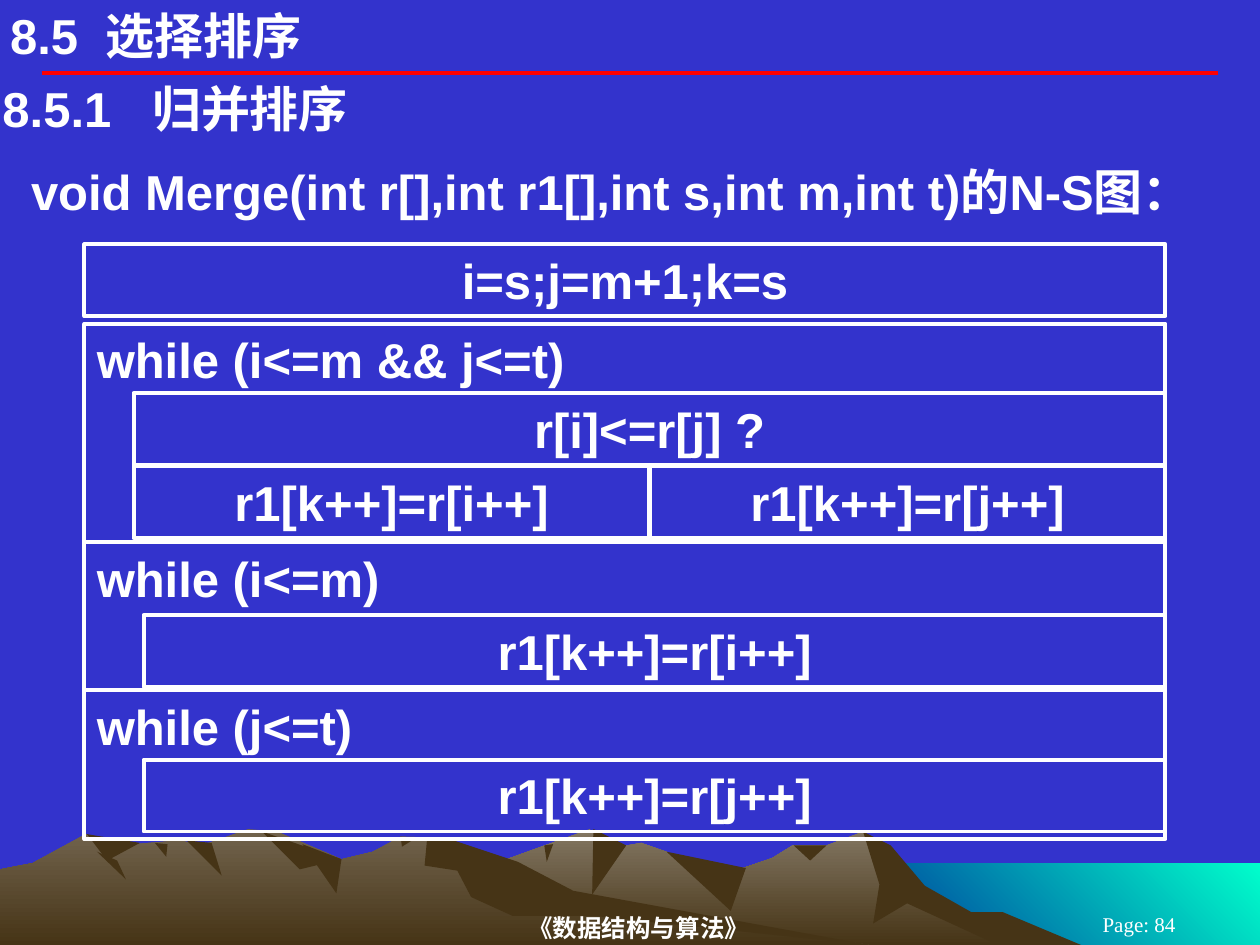
from dataclasses import dataclass

from lxml.etree import SubElement
from pptx import Presentation
from pptx.dml.color import RGBColor
from pptx.enum.shapes import MSO_CONNECTOR, MSO_SHAPE
from pptx.enum.text import MSO_ANCHOR as Anchor, MSO_AUTO_SIZE, PP_ALIGN as Align
from pptx.oxml.ns import qn
from pptx.util import Inches, Pt

WIDTH, HEIGHT = 10, 7.5
WHITE, RED, BLUE = "FFFFFF", "FF0000", "3333CC"
BROWN, FAR_TOP, NEAR_TOP = "463416", "837763", "72644E"
SEA_LIGHT, SEA_DARK = "00FFCC", "003399"
DOWN, DOWN_LEFT = 270, 225  # gradient directions, counter-clockwise
LINE_WIDTH = Pt(2.25)

Point = tuple[float, float]
Box = tuple[float, float, float, float]


@dataclass
class Mountains:
    """A skyline from foot to foot, one shaded slope, and gullies (left, right, tip)."""
    top_color: str
    skyline: list[Point]
    slope: list[Point]
    gullies: list[tuple[Point, Point, Point]]


@dataclass
class Label:
    text: str
    box: Box
    size: int = 28
    font: str = "Arial"
    bold: bool = True
    align: Align = Align.LEFT
    anchor: Anchor = Anchor.TOP
    margins: Point = (0.1, 0.05)


@dataclass
class Loop:
    """A while block of the N-S chart: its condition, then rows of equal cells."""
    condition: str
    top: float
    height: float
    body_left: float
    body_top: float
    rows: list[list[str]]


FAR_MOUNTAINS = Mountains(
    FAR_TOP,
    skyline=[(2.58, HEIGHT), (3.27, 7.09), (3.94, 6.85), (4.68, 6.58), (4.86, 6.73),
             (5.09, 6.69), (5.29, 6.76), (5.66, 6.97), (6.13, 6.81), (6.29, 6.71),
             (6.56, 6.71), (6.85, 6.6), (7.23, 6.98), (7.64, 7.23), (8.21, HEIGHT)],
    slope=[(6.85, 6.6), (7.07, 6.71), (7.34, 7.03), (7.71, 7.24), (7.96, 7.24),
           (8.58, HEIGHT), (7.92, HEIGHT), (7.2, 7.17), (6.93, 7.33), (6.98, 7.02)],
    gullies=[((4.71, 6.58), (4.97, 6.71), (4.7, 7.1)),
             ((5.29, 6.76), (5.92, 6.89), (5.8, 7.23)),
             ((6.3, 6.71), (6.56, 6.71), (6.43, 6.83)),
             ((4.32, 6.71), (4.39, 6.7), (4.34, 6.84))])

NEAR_MOUNTAINS = Mountains(
    NEAR_TOP,
    skyline=[(0, HEIGHT), (0, 6.9), (0.26, 6.85), (0.68, 6.62), (0.94, 6.71), (1.43, 6.67),
             (1.6, 6.71), (1.97, 6.58), (2.2, 6.6), (2.71, 6.82), (2.96, 6.76),
             (3.18, 6.64), (3.54, 6.65), (4.32, 7.12), (6.9, HEIGHT)],
    slope=[(3.39, 6.66), (3.54, 6.65), (4.11, 6.84), (4.55, 7.07), (6.9, HEIGHT),
           (4.72, 7.27), (4.07, 7.27), (3.74, 7.12), (3.63, 6.91), (3.37, 6.87)],
    gullies=[((2.08, 6.6), (2.71, 6.82), (2.38, 6.9)),
             ((2.4, 6.7), (2.71, 6.82), (2.67, 7.09)),
             ((0.69, 6.62), (1.11, 6.69), (0.85, 6.83)),
             ((0.77, 6.76), (0.93, 6.83), (1, 6.98)),
             ((1.48, 6.67), (1.68, 6.69), (1.76, 6.95)),
             ((1.23, 6.69), (1.33, 6.7), (1.32, 6.8)),
             ((3.18, 6.64), (3.27, 6.67), (3.19, 6.72))])

SEA_BOX = (6.83, 6.85, WIDTH - 6.83, HEIGHT - 6.85)

TITLE = Label("8.5  选择排序", (0.08, 0.04, 6.5, 0.47), margins=(0, 0))
LABELS = [
    Label("《数据结构与算法》", (2.04, 7.22, 6.06, 0.28), 14, "Times New Roman",
          align=Align.CENTER, anchor=Anchor.MIDDLE, margins=(0, 0.01)),
    Label("Page: 84", (8.25, 7.25, 1.58, 0.17), 12, "Times New Roman", False,
          Align.CENTER, Anchor.MIDDLE),
    Label("8.5.1   归并排序", (0, 0.61, 10, 0.49), margins=(0.02, 0.01)),
    Label(" void Merge(int r[],int r1[],int s,int m,int t)的N-S图：", (0.04, 1.23, 9.29, 1.04)),
]

CHART_LEFT, CHART_RIGHT = 0.67, 9.25
CELL_HEIGHT, ROW_PITCH = 0.57, 0.58
START_BOX = (CHART_LEFT, 1.94, CHART_RIGHT - CHART_LEFT, CELL_HEIGHT)
TAKE_LEFT, TAKE_RIGHT = "r1[k++]=r[i++]", "r1[k++]=r[j++]"
LOOPS = [
    Loop("while (i<=m && j<=t)", 2.57, 1.73, 1.06, 3.12,
         [["r[i]<=r[j] ?"], [TAKE_LEFT, TAKE_RIGHT]]),
    Loop("while (i<=m)", 4.3, 1.18, 1.14, 4.88, [[TAKE_LEFT]]),
    Loop("while (j<=t)", 5.48, 1.18, 1.14, 6.03, [[TAKE_RIGHT]]),
]


def rgb(value: str) -> RGBColor:
    return RGBColor.from_string(value)


def paint(shape, colors: list[str], angle: int = DOWN) -> None:
    """Fill without outline: one colour is solid, two make a gradient."""
    shape.shadow.inherit = False
    shape.line.fill.background()
    if len(colors) == 1:
        shape.fill.solid()
        shape.fill.fore_color.rgb = rgb(colors[0])
        return
    shape.fill.gradient()
    shape.fill.gradient_angle = angle
    for stop, color, position in zip(shape.fill.gradient_stops, colors, (0, 1)):
        stop.color.rgb = rgb(color)
        stop.position = position


def draw_outline(slide, points: list[Point], colors: list[str]) -> None:
    start, *others = [(Inches(x), Inches(y)) for x, y in points]
    builder = slide.shapes.build_freeform(*start)
    builder.add_line_segments(others, close=True)
    paint(builder.convert_to_shape(), colors)


def draw_mountains(slide, mountains: Mountains) -> None:
    draw_outline(slide, mountains.skyline, [mountains.top_color, BROWN])
    for shade in [mountains.slope, *mountains.gullies]:
        draw_outline(slide, shade, [BROWN])


def draw_landscape(slide) -> None:
    sea = slide.shapes.add_shape(MSO_SHAPE.RECTANGLE, *map(Inches, SEA_BOX))
    paint(sea, [SEA_LIGHT, SEA_DARK], DOWN_LEFT)
    for mountains in (FAR_MOUNTAINS, NEAR_MOUNTAINS):
        draw_mountains(slide, mountains)


def write_label(shape, label: Label) -> None:
    frame = shape.text_frame
    frame.text = label.text
    frame.word_wrap = True
    frame.auto_size = MSO_AUTO_SIZE.NONE
    frame.vertical_anchor = label.anchor
    frame.margin_left = frame.margin_right = Inches(label.margins[0])
    frame.margin_top = frame.margin_bottom = Inches(label.margins[1])
    paragraph = frame.paragraphs[0]
    paragraph.alignment = label.align
    font = paragraph.runs[0].font
    font.size, font.name, font.bold = Pt(label.size), label.font, label.bold
    font.color.rgb = rgb(WHITE)


def draw_cell(slide, text: str, box: Box, align: Align = Align.CENTER) -> None:
    shape = slide.shapes.add_shape(MSO_SHAPE.RECTANGLE, *map(Inches, box))
    shape.shadow.inherit = False
    shape.fill.background()
    shape.line.color.rgb = rgb(WHITE)
    shape.line.width = LINE_WIDTH
    write_label(shape, Label(text, box, align=align))


def draw_loop(slide, loop: Loop) -> None:
    frame = (CHART_LEFT, loop.top, CHART_RIGHT - CHART_LEFT, loop.height)
    draw_cell(slide, loop.condition, frame, Align.LEFT)
    for row, texts in enumerate(loop.rows):
        top = loop.body_top + row * ROW_PITCH
        width = (CHART_RIGHT - loop.body_left) / len(texts)
        for column, text in enumerate(texts):
            left = loop.body_left + column * width
            draw_cell(slide, text, (left, top, width, CELL_HEIGHT))


def draw_title_rule(slide) -> None:
    ends = map(Inches, (0.33, 0.58, 9.67, 0.58))
    rule = slide.shapes.add_connector(MSO_CONNECTOR.STRAIGHT, *ends)
    rule.line.color.rgb = rgb(RED)
    rule.line.width = LINE_WIDTH
    SubElement(rule.element.spPr, qn("a:effectLst"))


def main() -> None:
    presentation = Presentation()
    presentation.slide_width, presentation.slide_height = Inches(WIDTH), Inches(HEIGHT)
    slide = presentation.slides.add_slide(presentation.slide_layouts[5])
    slide.background.fill.solid()
    slide.background.fill.fore_color.rgb = rgb(BLUE)
    draw_landscape(slide)
    draw_title_rule(slide)
    title = slide.shapes.title
    title.left, title.top, title.width, title.height = map(Inches, TITLE.box)
    write_label(title, TITLE)
    for label in LABELS:
        write_label(slide.shapes.add_textbox(*map(Inches, label.box)), label)
    draw_cell(slide, "i=s;j=m+1;k=s", START_BOX)
    for loop in LOOPS:
        draw_loop(slide, loop)
    presentation.save("out.pptx")


if __name__ == "__main__":
    main()
